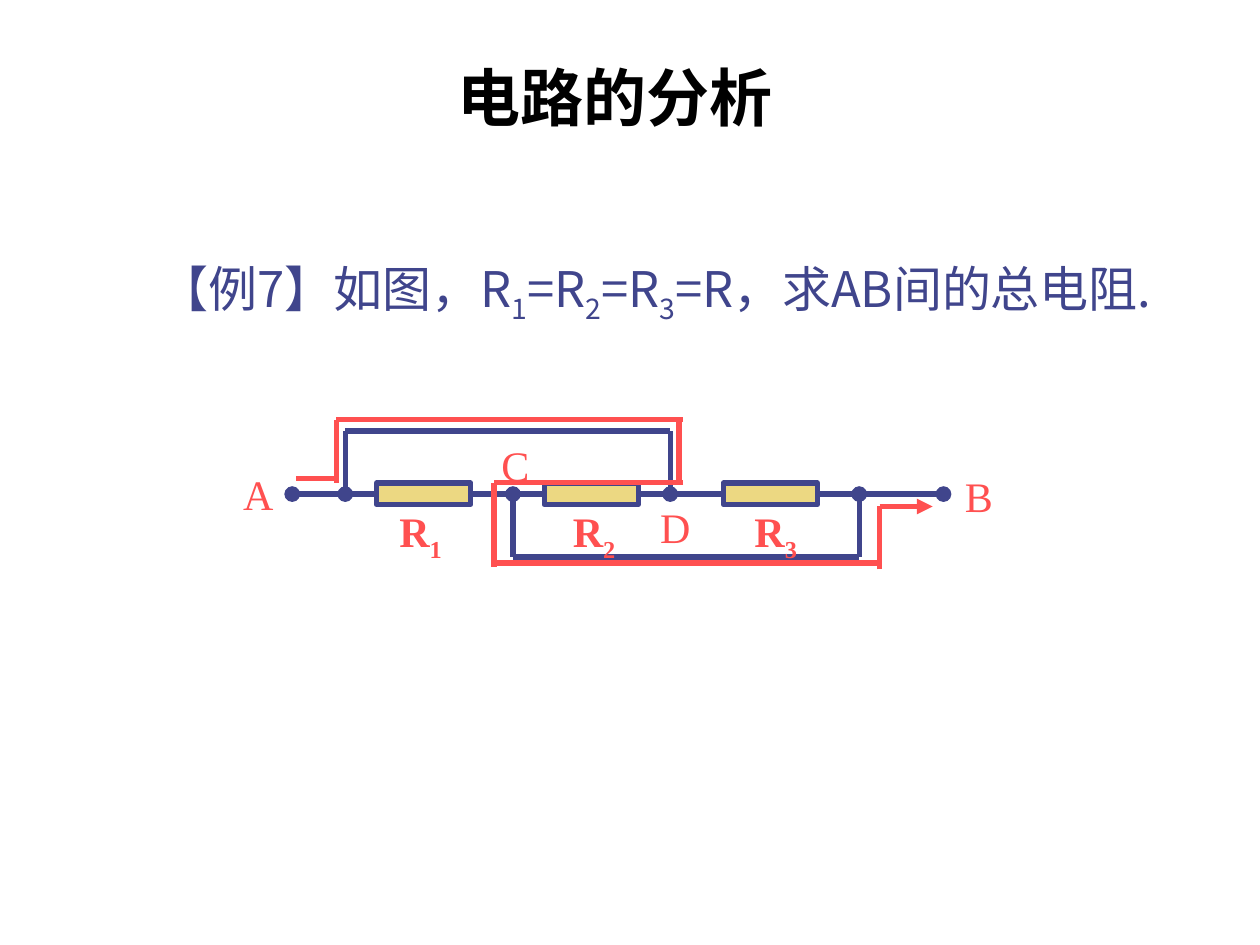
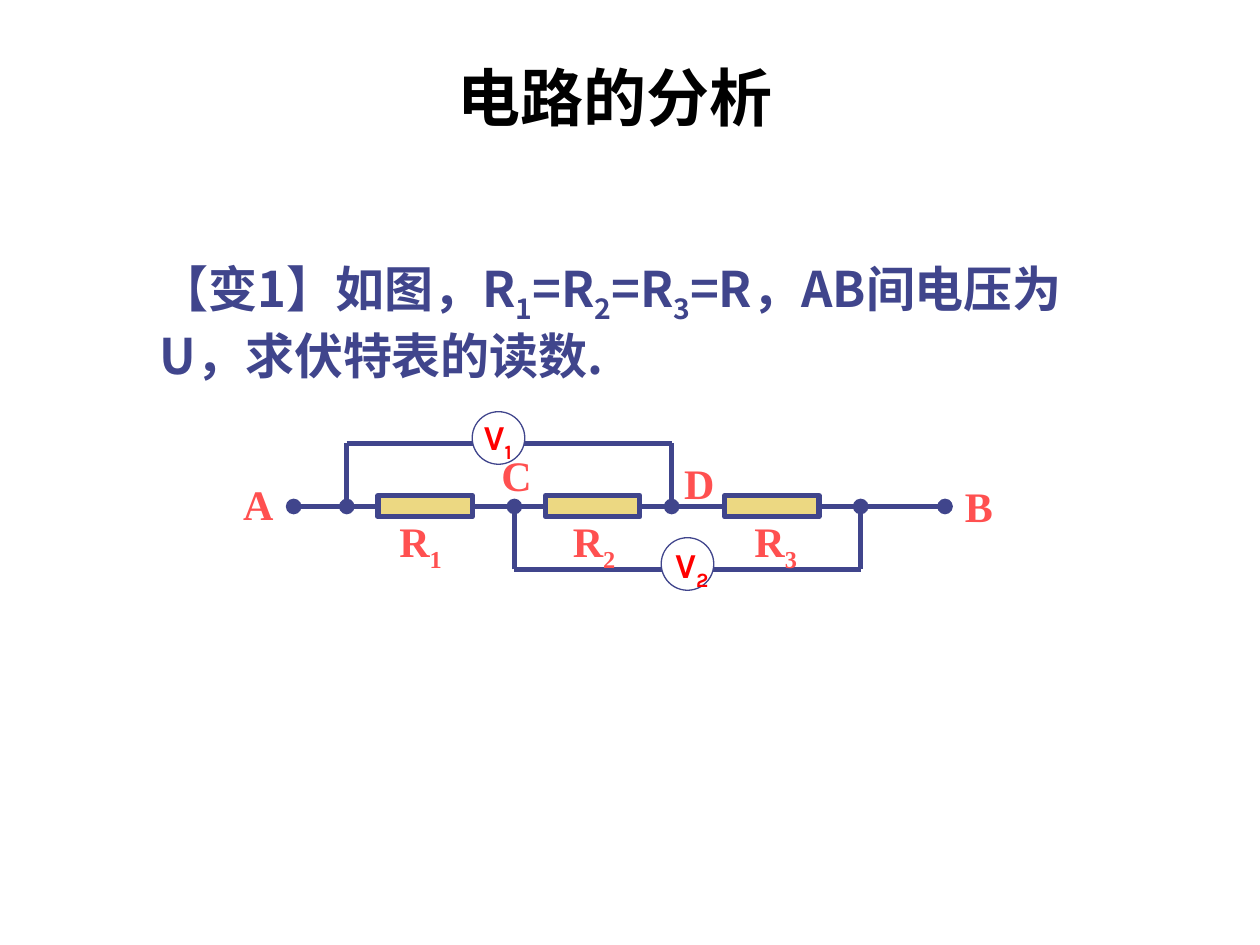
from lxml import etree
from pptx import Presentation
from pptx.dml.color import RGBColor
from pptx.enum.shapes import MSO_CONNECTOR, MSO_SHAPE
from pptx.enum.text import PP_ALIGN
from pptx.oxml.ns import qn
from pptx.util import Cm, Pt

LINE = MSO_CONNECTOR.STRAIGHT
RECT = MSO_SHAPE.RECTANGLE
OVAL = MSO_SHAPE.OVAL
LEFT = PP_ALIGN.LEFT
MID = PP_ALIGN.CENTER

color = RGBColor.from_string
BLUE, RED, GOLD = "40458C", "FF5050", "ECD882"
SANS, SERIF = "Noto Sans CJK SC", "Times New Roman"


def wire(slide, x1, y1, x2, y2, tint=BLUE, head=None, tail=None):
    """Draw a line; head and tail name the ends at its first and last point."""
    line = slide.shapes.add_connector(LINE, Cm(x1), Cm(y1), Cm(x2), Cm(y2))
    line.line.color.rgb = color(tint)
    line.line.width = Pt(3)
    pen = line.line._get_or_add_ln()
    for tag, kind in (("a:headEnd", head), ("a:tailEnd", tail)):
        if kind:
            etree.SubElement(pen, qn(tag), type=kind)
    etree.SubElement(line._element.spPr, qn("a:effectLst"))


def write(slide, text, x, y, w, h, size, face, tint, bold=True, align=LEFT):
    """Add a text box; parts between underscores are lowered."""
    frame = slide.shapes.add_textbox(Cm(x), Cm(y), Cm(w), Cm(h)).text_frame
    frame.word_wrap = True
    para = frame.paragraphs[0]
    para.alignment = align
    for i, part in enumerate(text.split("_")):
        if not part:
            continue
        run = para.add_run()
        run.text = part
        run.font.size = Pt(size)
        run.font.bold = bold
        run.font.name = face
        run.font.color.rgb = color(tint)
        props = run.font._element
        etree.SubElement(props, qn("a:ea"), typeface=face)
        if i % 2:
            props.set("baseline", "-25000")


# Question, its weight, shift of circuit, shift of labels, place of D
pages = [
    ("【例7】如图，R_1_=R_2_=R_3_=R，求AB间的总电阻.",
     False, 0, 0, 0, (13.06, 9.98)),
    ("【变1】如图，R_1_=R_2_=R_3_=R，AB间电压为U，求伏特表的读数.",
     True, 0.03, 0.25, 0.2, (13.54, 9.09)),
]
# Current path from A to B
route = [
    (5.97, 9.65, 6.81, 9.65),
    (6.78, 9.73, 6.78, 8.46),
    (6.78, 8.46, 13.77, 8.46),
    (13.69, 8.46, 13.69, 9.73),
    (13.77, 9.73, 9.96, 9.73),
    (9.96, 9.73, 9.96, 11.43),
    (9.96, 11.35, 17.78, 11.35),
    (17.73, 11.48, 17.73, 10.21),
    (17.73, 10.21, 18.8, 10.21),
]
# Voltmeter: number, circle, text
meters = [(1, 9.52, 8.3, 9.5, 8.25), (2, 13.33, 10.84, 13.36, 10.84)]

deck = Presentation()
deck.slide_width, deck.slide_height = Cm(25.4), Cm(19.05)

for num, (ask, bold, dx, dy, drop, spot) in enumerate(pages):
    slide = deck.slides.add_slide(deck.slide_layouts[6])
    write(slide, "电路的分析", 5.19, 1.06, 14.4, 1.78, 36, SANS, "000000",
          align=MID)
    write(slide, ask, 2.97, 5.08, 20.32 - 0.2 * num, 2.8, 28, SANS, BLUE, bold)

    # Main line with resistors
    mid = 9.96 + dy
    wire(slide, 5.89 + dx, mid, 19.02 + dx, mid, head="oval", tail="oval")
    for x in (7.59, 10.97, 14.58):
        box = slide.shapes.add_shape(RECT, Cm(x + dx), Cm(mid - 0.22),
                                     Cm(1.9), Cm(0.43))
        box.shadow.inherit = False
        box.fill.solid()
        box.fill.fore_color.rgb = color(GOLD)
        box.line.color.rgb = color(BLUE)
        box.line.width = Pt(3)

    # Bypass above, then below
    for x1, x2, rise in ((6.96, 13.51, -1.27), (10.34, 17.32, 1.27)):
        for x in (x1, x2):
            wire(slide, x + dx, mid + rise, x + dx, mid, tail="oval")
        wire(slide, x1 + dx, mid + rise, x2 + dx, mid + rise)

    if num == 1:
        for n, x, y, tx, ty in meters:
            dial = slide.shapes.add_shape(OVAL, Cm(x), Cm(y), Cm(1.06), Cm(1.06))
            dial.shadow.inherit = False
            dial.fill.solid()
            dial.fill.fore_color.rgb = color("FFFFFF")
            dial.line.color.rgb = color(BLUE)
            dial.line.width = Pt(0.75)
            write(slide, f"V_{n}_", tx, ty, 1.5, 1.22, 20, "Karla", "FF0000")

    for n, x in enumerate((7.8, 11.3, 14.96), 1):
        write(slide, f"R_{n}_", x, 10.07 + drop, 1.8, 1.42, 24, SERIF, RED)
    points = [("A", 4.65, 9.32 + drop), ("B", 19.2, 9.37 + drop),
              ("C", 9.86, 8.74 + drop), ("D", *spot)]
    for name, x, y in points:
        write(slide, name, x, y, 1.27, 1.27, 24, SERIF, RED, bold)

    if num == 0:
        for leg in route:
            wire(slide, *leg, tint=RED,
                 tail="triangle" if leg == route[-1] else None)

deck.save("out.pptx")
